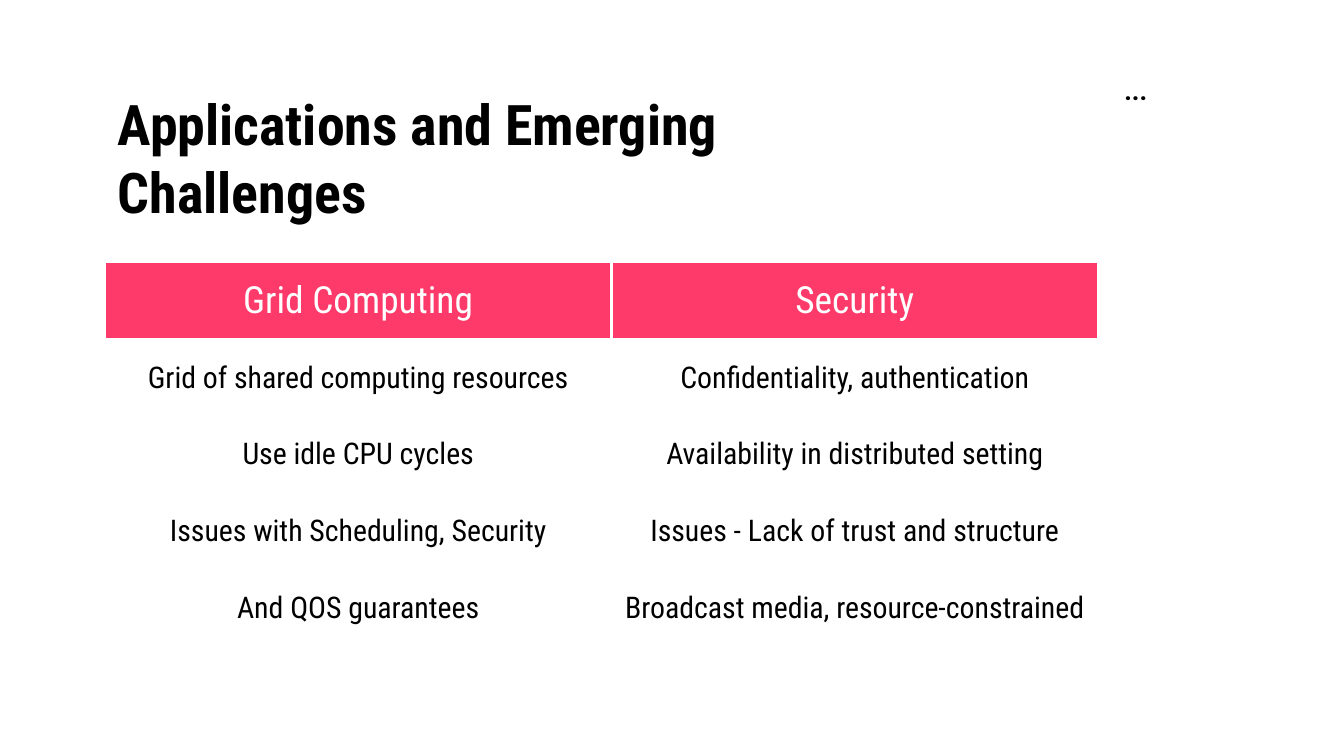
from lxml import etree
from pptx import Presentation
from pptx import util as u
from pptx.dml.color import RGBColor
from pptx.enum import text
from pptx.oxml.ns import qn

FONT = "Roboto Condensed"
BLACK, WHITE, PINK = "000000", "FFFFFF", "FD3A69"
INSET = u.Cm(0.25)
TOPICS = [
    ("Grid Computing", "Security"),
    ("Grid of shared computing resources", "Confidentiality, authentication"),
    ("Use idle CPU cycles", "Availability in distributed setting"),
    ("Issues with Scheduling, Security", "Issues - Lack of trust and structure"),
    ("And QOS guarantees", "Broadcast media, resource-constrained"),
    ("", ""),
]


def color(hex_value):
    return RGBColor.from_string(hex_value)


def write(frame, words, size, ink, bold=False, align=text.PP_ALIGN.CENTER):
    frame.text = words
    paragraph = frame.paragraphs[0]
    paragraph.alignment = align
    for run in paragraph.runs:
        run.font.name = FONT
        run.font.size = u.Pt(size)
        run.font.bold = bold
        run.font.color.rgb = color(ink)


def add_label(slide, box, words, size, align, inset):
    frame = slide.shapes.add_textbox(*map(u.Cm, box)).text_frame
    frame.word_wrap = True
    frame.margin_left = frame.margin_right = INSET
    frame.margin_top = frame.margin_bottom = inset
    write(frame, words, size, BLACK, True, align)


def add_borders(cell, hex_value, points):
    properties = cell._tc.get_or_add_tcPr()
    for position, side in enumerate(("a:lnL", "a:lnR", "a:lnT", "a:lnB")):
        border = etree.Element(qn(side), w=str(u.Pt(points)))
        fill = etree.SubElement(border, qn("a:solidFill"))
        etree.SubElement(fill, qn("a:srgbClr"), val=hex_value)
        properties.insert(position, border)


def fill_cell(cell, words, is_header):
    cell.vertical_anchor = text.MSO_ANCHOR.MIDDLE
    cell.margin_left = cell.margin_right = INSET
    cell.margin_top = cell.margin_bottom = INSET
    cell.fill.solid()
    cell.fill.fore_color.rgb = color(PINK if is_header else WHITE)
    write(cell.text_frame, words, 20 if is_header else 16,
          WHITE if is_header else BLACK)
    add_borders(cell, WHITE, 1.5)


def add_topics(slide):
    widths, header_height, row_height = (9.58, 9.19), 1.47, 1.45
    heights = [header_height] + [row_height] * (len(TOPICS) - 1)
    table = slide.shapes.add_table(
        len(heights), len(widths), u.Cm(1.98), u.Cm(4.95),
        u.Cm(sum(widths)), u.Cm(sum(heights))).table
    for column, width in zip(table.columns, widths):
        column.width = u.Cm(width)
    for index, (row, height) in enumerate(zip(table.rows, heights)):
        row.height = u.Cm(height)
        for cell, words in zip(row.cells, TOPICS[index]):
            fill_cell(cell, words, index == 0)


def main():
    deck = Presentation()
    deck.slide_width, deck.slide_height = u.Cm(25.4), u.Cm(14.29)
    slide = deck.slides.add_slide(deck.slide_layouts[6])
    add_label(slide, (17.53, 1.27, 7.87, 1.88), "...", 14,
              text.PP_ALIGN.CENTER, u.Cm(0.13))
    add_label(slide, (1.98, 1.45, 16.15, 1.6),
              "Applications and Emerging Challenges", 30,
              text.PP_ALIGN.LEFT, INSET)
    add_topics(slide)
    deck.save("out.pptx")


if __name__ == "__main__":
    main()
